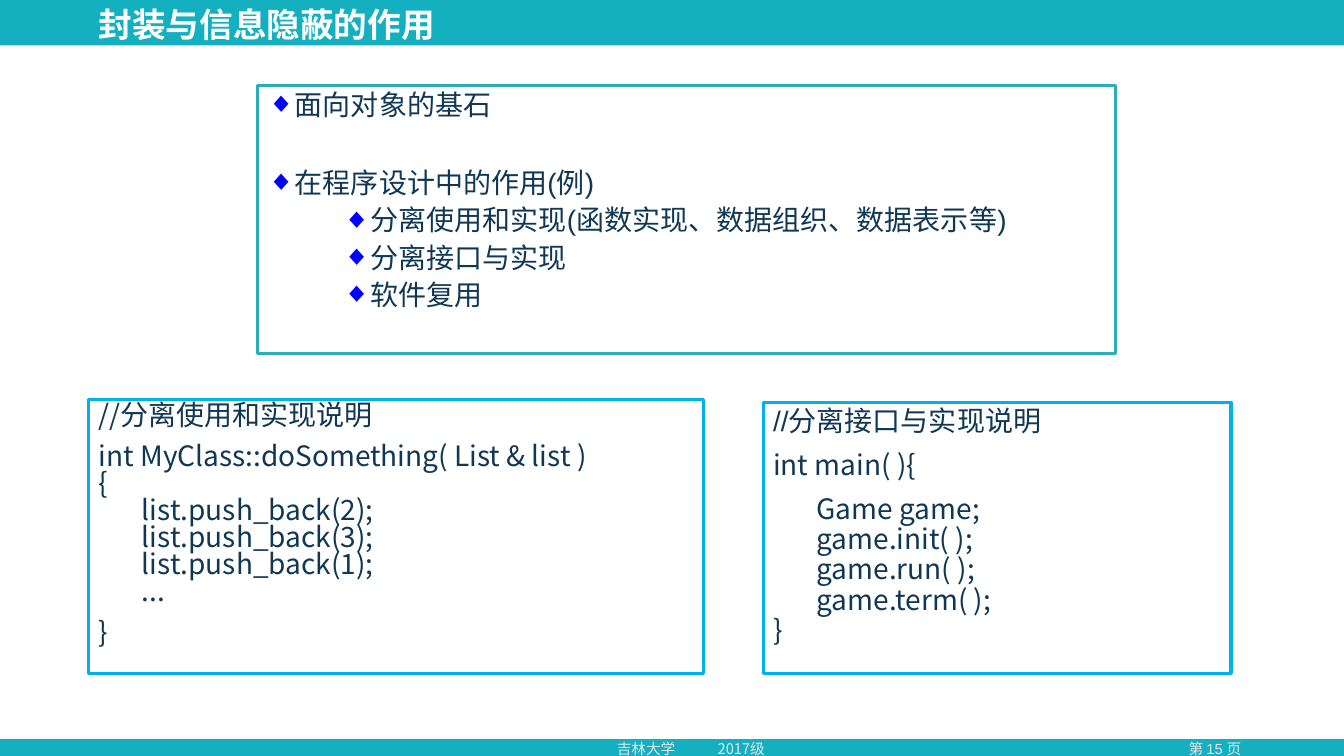
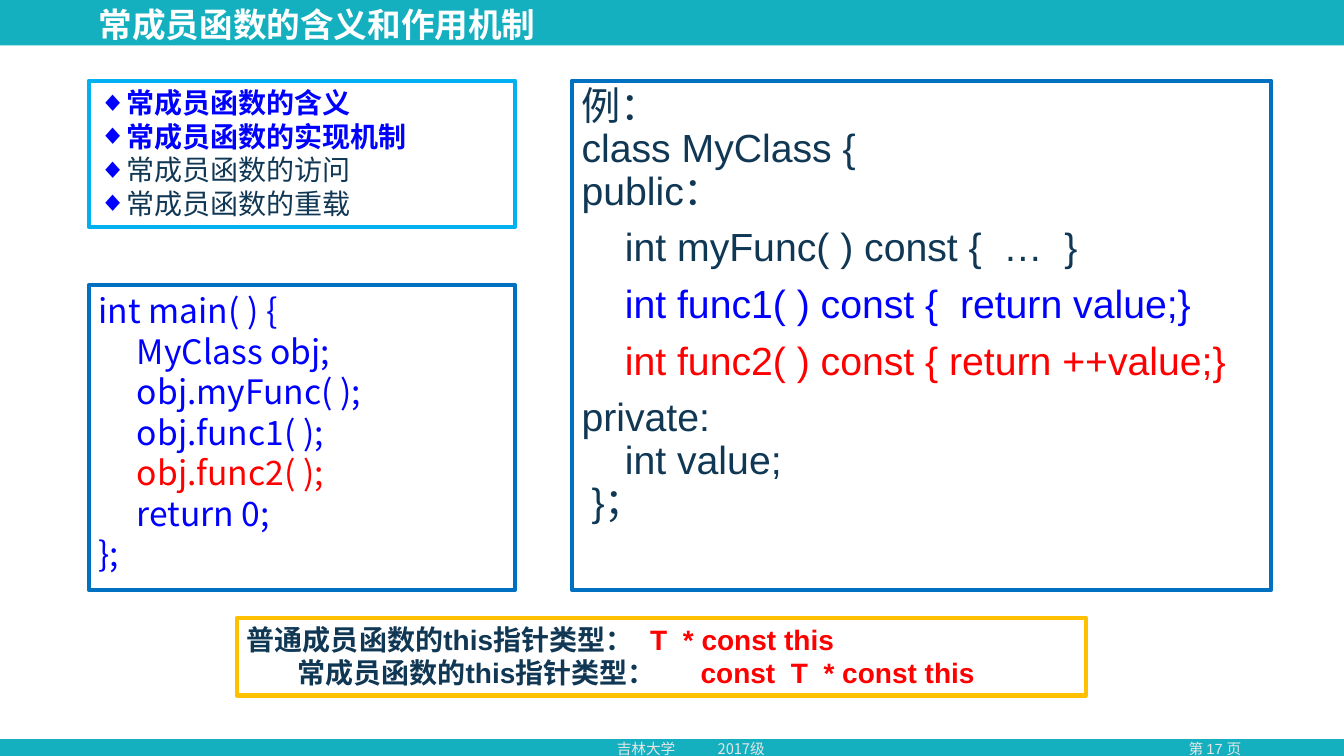
from dataclasses import dataclass

from lxml.etree import SubElement
from pptx import Presentation
from pptx.dml.color import RGBColor
from pptx.enum.shapes import MSO_SHAPE
from pptx.enum.text import MSO_ANCHOR, PP_ALIGN
from pptx.oxml.ns import qn
from pptx.util import Inches, Pt

TEAL = RGBColor(0x14, 0xB0, 0xC0)
FRAME_TEAL = RGBColor(0x2D, 0xAE, 0xB7)
SKY = RGBColor(0x00, 0xB0, 0xF0)
OCEAN = RGBColor(0x00, 0x70, 0xC0)
GOLD = RGBColor(0xFF, 0xC0, 0x00)
INK = RGBColor(0x10, 0x37, 0x54)
BLUE = RGBColor(0x00, 0x00, 0xFF)
RED = RGBColor(0xFF, 0x00, 0x00)
WHITE = RGBColor(0xFF, 0xFF, 0xFF)
PALE = RGBColor(0xE7, 0xE6, 0xE6)

LATIN, CHINESE = "Arial", "Noto Sans CJK SC"
WIDTH, HEIGHT = 13.33, 7.5
LEFT = 0.88
STEP = 0.43  # one level of code indent
HANG = 0.27  # room for a bullet


@dataclass
class Line:
    """One paragraph; a second colour applies to the text after the last tab."""
    text: str
    indent: float = 0
    before: float = 0
    color: RGBColor = INK
    bold: bool = False
    bullet: bool = False
    tabs: tuple = ()
    tail_color: RGBColor = None
    font: str = None


@dataclass
class Panel:
    """A framed text box; pitch is the distance between lines in points."""
    at: tuple
    frame: RGBColor
    frame_width: float
    size: float
    pitch: float
    font: str
    lines: list


def bullet(text, indent=0, before=0, **style):
    return Line(text, indent + HANG, before, bullet=True, **style)


SLIDES = [
    ("封装与信息隐蔽的作用", 15, [
        Panel((7.57, 3.99, 4.64, 2.69), SKY, 2.25, 20, 21.5, CHINESE, [
            Line("//分离接口与实现说明", font=LATIN),
            Line("int main( ){", before=10),
            Line("Game game;", STEP, 10),
            Line("game.init( );", STEP),
            Line("game.run( );", STEP),
            Line("game.term( );", STEP),
            Line("}"),
        ]),
        Panel((LEFT, 3.96, 6.1, 2.72), SKY, 2.25, 20, 19.3, CHINESE, [
            Line("//分离使用和实现说明"),
            Line("int MyClass::doSomething( List & list )", before=10),
            Line("{"),
            Line("list.push_back(2);", STEP),
            Line("list.push_back(3);", STEP),
            Line("list.push_back(1);", STEP),
            Line("...", STEP),
            Line("}", before=10),
        ]),
        Panel((2.55, 0.85, 8.51, 2.66), FRAME_TEAL, 2.25, 20, 21.7, LATIN, [
            bullet("面向对象的基石"),
            bullet("在程序设计中的作用(例)", before=34),
            bullet("分离使用和实现(函数实现、数据组织、数据表示等)", 0.75, 5),
            bullet("分离接口与实现", 0.75, 5),
            bullet("软件复用", 0.75, 5),
        ]),
    ]),
    ("常成员函数的含义和作用机制", 17, [
        Panel((5.67, 0.8, 6.94, 5.05), OCEAN, 3, 28, 30.4, LATIN, [
            Line("例："),
            Line("class MyClass {"),
            Line("public："),
            Line("int myFunc( ) const {  …  }", STEP, 10),
            Line("int func1( ) const {  return value;}", STEP, 10, BLUE),
            Line("int func2( ) const { return ++value;}", STEP, 10, RED),
            Line("private:", before=10),
            Line("int value;", STEP),
            Line("}；", 0.1),
        ]),
        Panel((LEFT, 2.83, 4.23, 3.02), OCEAN, 3, 24, 28.9, CHINESE, [
            Line("int main( ) {", color=BLUE),
            Line("MyClass obj;", 0.38, color=BLUE),
            Line("obj.myFunc( );", 0.38, color=BLUE),
            Line("obj.func1( );", 0.38, color=BLUE),
            Line("obj.func2( );", 0.38, color=RED),
            Line("return 0;", 0.38, color=BLUE),
            Line("};", color=BLUE),
        ]),
        Panel((LEFT, 0.8, 4.23, 1.45), SKY, 3, 20, 24, CHINESE, [
            bullet("常成员函数的含义", color=BLUE, bold=True),
            bullet("常成员函数的实现机制", color=BLUE, bold=True),
            bullet("常成员函数的访问"),
            bullet("常成员函数的重载"),
        ]),
        Panel((2.35, 6.13, 8.42, 0.77), GOLD, 3, 20, 23.8, LATIN, [
            Line("普通成员函数的this指针类型：\tT  * const this",
                 bold=True, tabs=(5.04,), tail_color=RED),
            Line("\t常成员函数的this指针类型：\tconst  T  * const this",
                 bold=True, tabs=(0.25, 4.26), tail_color=RED),
        ]),
    ]),
]


def add_rectangle(slide, at, fill=None, frame=None, frame_width=0):
    shape = slide.shapes.add_shape(MSO_SHAPE.RECTANGLE, *map(Inches, at))
    shape.shadow.inherit = False
    if fill is None:
        shape.fill.background()
    else:
        shape.fill.solid()
        shape.fill.fore_color.rgb = fill
    if frame is None:
        shape.line.fill.background()
    else:
        shape.line.color.rgb = frame
        shape.line.width = Pt(frame_width)
    return shape


def add_run(paragraph, text, font, size, color, bold):
    run = paragraph.add_run()
    run.text = text
    run.font.name = font
    run.font.size = Pt(size)
    run.font.bold = bold
    run.font.color.rgb = color
    SubElement(run.font._element, qn("a:ea"), typeface=CHINESE)


def set_layout(paragraph, line):
    """Indent, bullet and tab stops, in the order the schema asks for."""
    properties = paragraph._p.get_or_add_pPr()
    properties.set("marL", str(Inches(line.indent)))
    properties.set("indent", str(-Inches(HANG) if line.bullet else 0))
    if line.bullet:
        color = SubElement(properties, qn("a:buClr"))
        SubElement(color, qn("a:srgbClr"), val=str(BLUE))
        SubElement(properties, qn("a:buFont"), typeface=LATIN)
        SubElement(properties, qn("a:buChar"), char="◆")
    else:
        SubElement(properties, qn("a:buNone"))
    if line.tabs:
        stops = SubElement(properties, qn("a:tabLst"))
        for position in line.tabs:
            SubElement(stops, qn("a:tab"), pos=str(Inches(position)), algn="l")


def write_lines(shape, lines, font, size, pitch=None,
                align=PP_ALIGN.LEFT, anchor=MSO_ANCHOR.TOP):
    frame = shape.text_frame
    frame.word_wrap = True
    frame.vertical_anchor = anchor
    for number, line in enumerate(lines):
        paragraph = frame.add_paragraph() if number else frame.paragraphs[0]
        paragraph.alignment = align
        if pitch:
            paragraph.line_spacing = Pt(pitch)
        paragraph.space_before = Pt(line.before)
        set_layout(paragraph, line)
        head, tail = line.text, ""
        if line.tail_color is not None:
            head, tab, tail = line.text.rpartition("\t")
            head += tab
        line_font = line.font or font
        add_run(paragraph, head, line_font, size, line.color, line.bold)
        if tail:
            add_run(paragraph, tail, line_font, size, line.tail_color, line.bold)


def add_label(slide, at, line, font, size, **placing):
    box = slide.shapes.add_textbox(*map(Inches, at))
    write_lines(box, [line], font, size, **placing)


def add_base(presentation, title, page):
    """A slide with the teal bands, the title and the footer."""
    slide = presentation.slides.add_slide(presentation.slide_layouts[6])
    slide.background.fill.solid()
    slide.background.fill.fore_color.rgb = TEAL
    add_rectangle(slide, (0, 0.45, WIDTH, 6.88), WHITE)
    add_label(slide, (11.32, 7.29, 1.46, 0.28), Line(f"第 {page} 页", color=PALE),
              LATIN, 10.5, align=PP_ALIGN.CENTER)
    add_label(slide, (6.02, 7.29, 1.84, 0.28),
              Line("吉林大学\t2017级", color=PALE, tabs=(0.78,)), CHINESE, 10.5)
    add_label(slide, (LEFT, 0.04, 7.68, 0.39), Line(title, color=WHITE, bold=True),
              CHINESE, 24, anchor=MSO_ANCHOR.MIDDLE)
    return slide


def main():
    presentation = Presentation()
    presentation.slide_width = Inches(WIDTH)
    presentation.slide_height = Inches(HEIGHT)
    for title, page, panels in SLIDES:
        slide = add_base(presentation, title, page)
        for panel in panels:
            shape = add_rectangle(slide, panel.at, frame=panel.frame,
                                  frame_width=panel.frame_width)
            write_lines(shape, panel.lines, panel.font, panel.size, panel.pitch)
    presentation.save("out.pptx")


if __name__ == "__main__":
    main()
